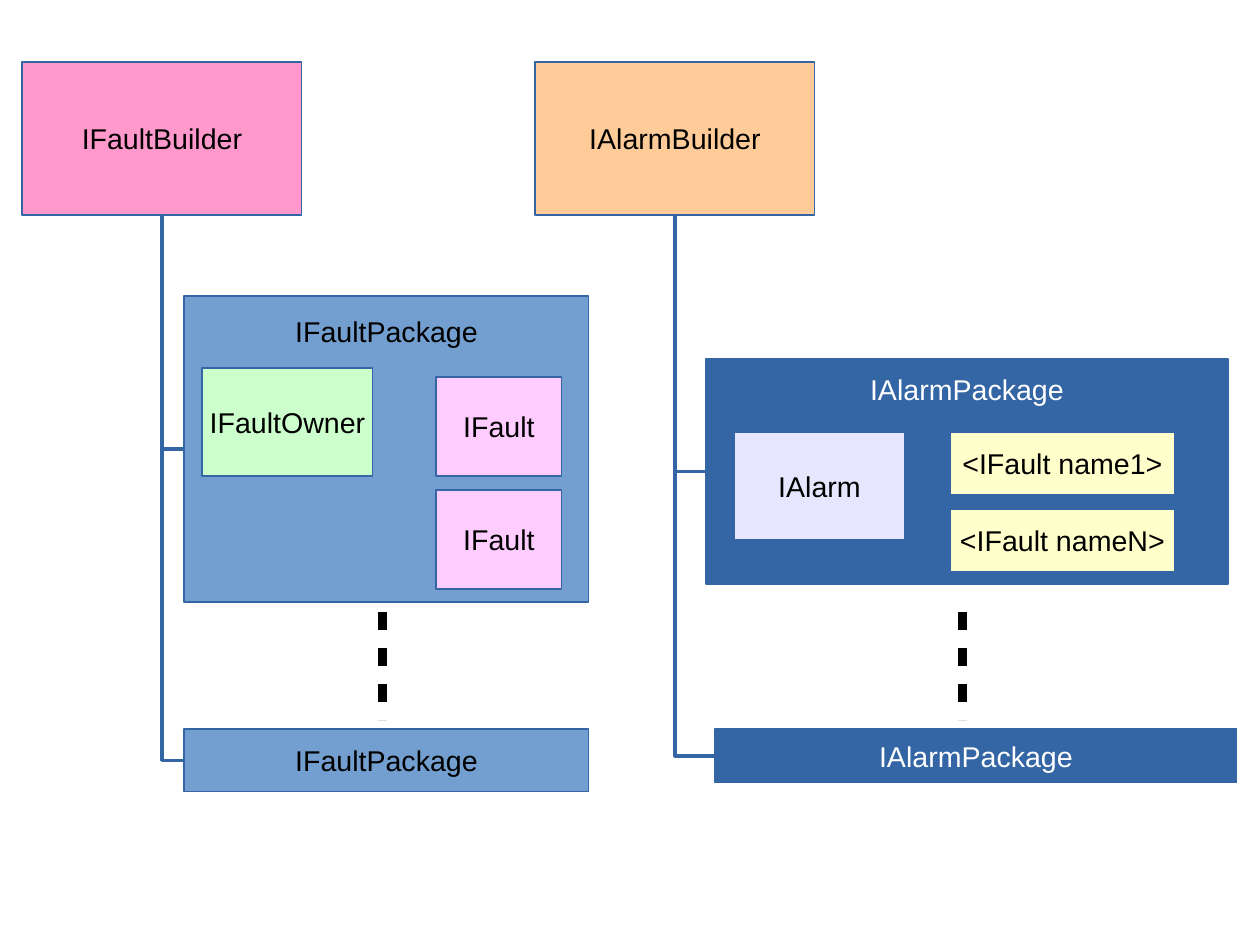
from dataclasses import dataclass
from lxml.etree import SubElement
from pptx import Presentation
from pptx.dml.color import RGBColor
from pptx.enum.shapes import MSO_CONNECTOR as CONN, MSO_SHAPE as SHAPE
from pptx.enum.text import MSO_ANCHOR as ANCHOR, PP_ALIGN as ALIGN
from pptx.oxml.ns import qn
from pptx.util import Pt

PX = 8000  # EMU per pixel


@dataclass(frozen=True)
class Theme:
    font: str = "Arial"
    size: int = 18
    black: str = "000000"
    white: str = "FFFFFF"
    outline: str = "3465A4"
    fault_builder: str = "FF99CC"
    fault_package: str = "729FCF"
    owner: str = "CCFFCC"
    fault: str = "FFCCFF"
    alarm_builder: str = "FFCC99"
    alarm_package: str = "3465A4"
    alarm: str = "E6E6FF"
    fault_name: str = "FFFFCC"


T = Theme()
rgb = RGBColor.from_string

prs = Presentation()
prs.slide_width, prs.slide_height = 1260 * PX, 945 * PX
shapes = prs.slides.add_slide(prs.slide_layouts[6]).shapes


def add_box(text, x, y, w, h, fill, color=T.black, title_top=None):
    """Add a labelled box; title_top puts the label that far below its top."""
    sp = shapes.add_shape(SHAPE.RECTANGLE, x * PX, y * PX, w * PX, h * PX)
    sp.shadow.inherit = False
    sp.fill.solid()
    sp.fill.fore_color.rgb = rgb(fill)
    sp.line.color.rgb = rgb(T.outline)
    sp.line.width = Pt(0)
    tf = sp.text_frame
    tf.word_wrap = False
    tf.vertical_anchor = ANCHOR.MIDDLE
    if title_top is not None:
        tf.vertical_anchor = ANCHOR.TOP
        tf.margin_top = title_top * PX
    p = tf.paragraphs[0]
    p.alignment = ALIGN.CENTER
    r = p.add_run()
    r.text = text
    r.font.name, r.font.size = T.font, Pt(T.size)
    r.font.color.rgb = rgb(color)
    return sp


def add_line(kind, x1, y1, x2, y2, color, width):
    cx = shapes.add_connector(kind, x1 * PX, y1 * PX, x2 * PX, y2 * PX)
    cx.line.color.rgb = rgb(color)
    cx.line.width = Pt(width)
    SubElement(cx._element.spPr, qn("a:effectLst"))
    return cx


# Fault side
fault_builder = add_box("IFaultBuilder", 22, 62, 280, 153, T.fault_builder)
fault_first = add_box("IFaultPackage", 184, 296, 405, 306, T.fault_package, title_top=18)
fault_last = add_box("IFaultPackage", 184, 729, 405, 63, T.fault_package)
add_box("IFaultOwner", 202, 368, 171, 108, T.owner)
for row in range(2):
    add_box("IFault", 436, 377 + 113 * row, 126, 99, T.fault)

# Alarm side
alarm_builder = add_box("IAlarmBuilder", 535, 62, 280, 153, T.alarm_builder)
alarm_first = add_box("IAlarmPackage", 706, 359, 522, 225, T.alarm_package, T.white, 13)
alarm_last = add_box("IAlarmPackage", 715, 729, 522, 54, T.alarm_package, T.white)
add_box("IAlarm", 734, 432, 171, 108, T.alarm)
for row, suffix in enumerate("1N"):
    add_box(f"<IFault name{suffix}>", 950, 432 + 77 * row, 225, 63, T.fault_name)

# Elbows from each package's left side to the bottom of its builder
for builder, packages in ((fault_builder, (fault_first, fault_last)),
                          (alarm_builder, (alarm_first, alarm_last))):
    for package in packages:
        cx = add_line(CONN.ELBOW, 0, 0, 0, 0, T.outline, 0)
        cx.begin_connect(package, 1)
        cx.end_connect(builder, 2)
        cx._element.spPr.find(qn("a:prstGeom")).set("prst", "bentConnector2")

# Dashed lines between first and last package
for x in (383, 963):
    cx = add_line(CONN.STRAIGHT, x, 612, x, 720, T.black, 5.67)
    dash = SubElement(cx.line._get_or_add_ln(), qn("a:custDash"))
    SubElement(dash, qn("a:ds"), d="200000", sp="200000")

prs.save("out.pptx")
